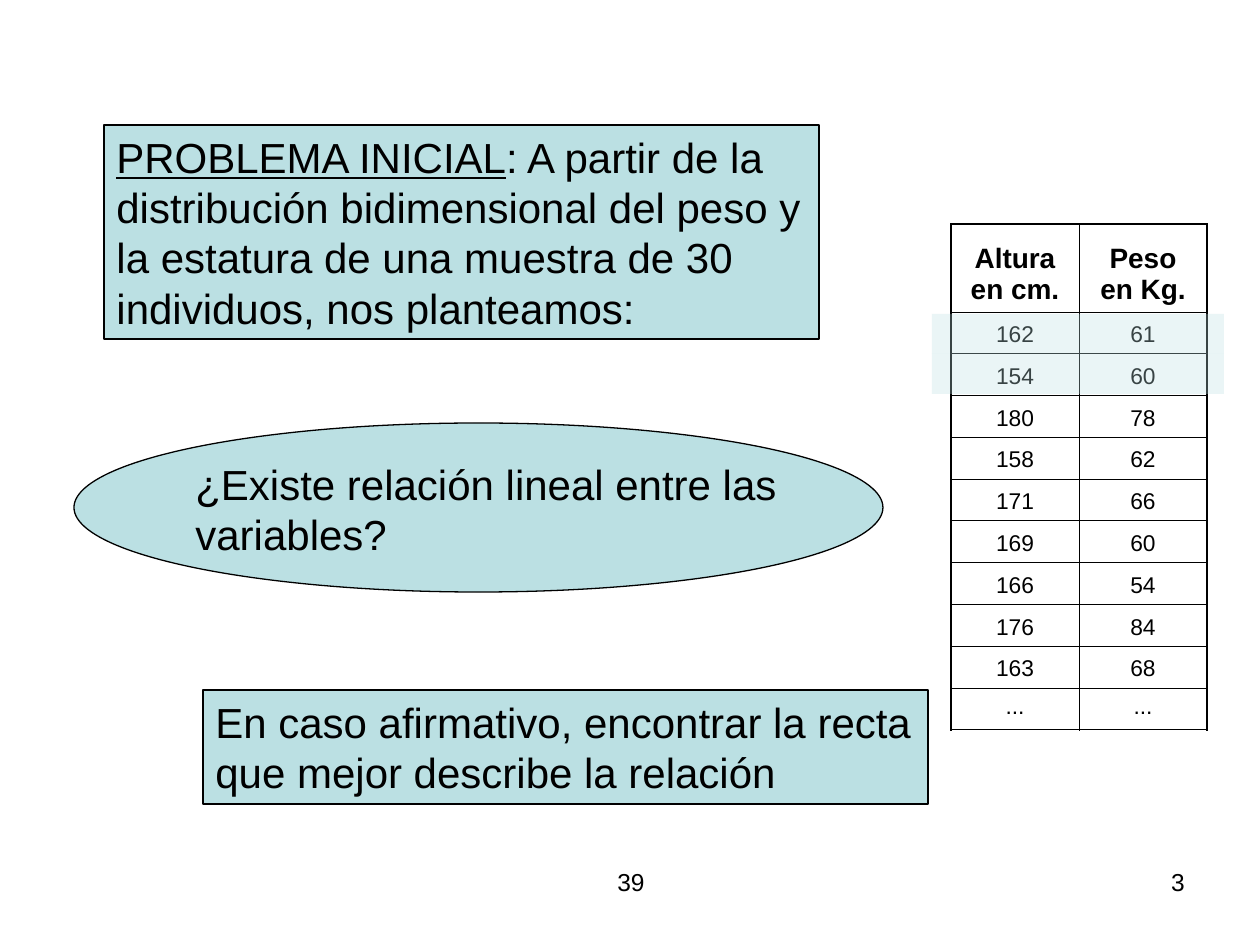
from lxml.etree import SubElement
from pptx import Presentation
from pptx.dml.color import RGBColor
from pptx.enum.shapes import MSO_SHAPE as Shape
from pptx.enum.text import MSO_ANCHOR as Anchor, PP_ALIGN as Align
from pptx.oxml.ns import qn
from pptx.util import Pt

PX = 914400 / 126
BLACK = "000000"
AQUA = "BBE0E3"
ROWS = [
    ("Altura en cm.", "Peso en Kg."),
    ("162", "61"),
    ("154", "60"),
    ("180", "78"),
    ("158", "62"),
    ("171", "66"),
    ("169", "60"),
    ("166", "54"),
    ("176", "84"),
    ("163", "68"),
    ("...", "..."),
]


def px(n):
    return round(n * PX)


def color(value):
    return RGBColor.from_string(value)


def style(p, size, align=Align.LEFT, bold=False):
    p.alignment = align
    p.font.name = "Arial"
    p.font.size = Pt(size)
    p.font.bold = bold
    p.font.color.rgb = color(BLACK)


def add_text(s, box, text, size, align=Align.LEFT):
    tf = s.shapes.add_textbox(*map(px, box)).text_frame
    tf.word_wrap = True
    p = tf.paragraphs[0]
    p.text = text
    style(p, size, align)


def add_panel(s, box, kind=Shape.RECTANGLE, line=True):
    sp = s.shapes.add_shape(kind, *map(px, box))
    sp.shadow.inherit = False
    sp.fill.solid()
    sp.fill.fore_color.rgb = color(AQUA)
    if line:
        sp.line.color.rgb = color(BLACK)
        sp.line.width = Pt(0.75)
    else:
        sp.line.fill.background()
    return sp


def add_statement(s, box, text, heading=""):
    tf = add_panel(s, box).text_frame
    tf.word_wrap = True
    tf.vertical_anchor = Anchor.TOP
    p = tf.paragraphs[0]
    if heading:
        r = p.add_run()
        r.text = heading
        r.font.underline = True
    p.add_run().text = text
    style(p, 24)


def add_question(s, box, text):
    x, y, w, h = box
    add_panel(s, box, Shape.OVAL)
    add_text(s, (x + 109, y + 29, w - 164, h - 56), text, 24)


def set_border(cell, side, width):
    ln = SubElement(cell._tc.get_or_add_tcPr(), qn(f"a:ln{side}"), w=str(Pt(width)))
    fill = SubElement(ln, qn("a:solidFill"))
    SubElement(fill, qn("a:srgbClr"), val=BLACK)


def add_data_table(s, box, header_height):
    x, y, w, h = box
    last_row, last_col = len(ROWS) - 1, len(ROWS[0]) - 1
    table = s.shapes.add_table(len(ROWS), len(ROWS[0]), *map(px, box)).table
    table.first_row = table.horz_banding = False
    for col in table.columns:
        col.width = px(w / len(ROWS[0]))
    for i, values in enumerate(ROWS):
        table.rows[i].height = px((h - header_height) / last_row if i else header_height)
        for j, value in enumerate(values):
            cell = table.cell(i, j)
            edges = {"L": j == 0, "R": j == last_col, "T": i == 0, "B": i == last_row}
            for side, outer in edges.items():
                set_border(cell, side, 1.08 if outer else 0.45)
            cell.fill.background()
            cell.vertical_anchor = Anchor.TOP if i == last_row else Anchor.BOTTOM
            p = cell.text_frame.paragraphs[0]
            p.text = value
            style(p, 13 if i else 16, Align.CENTER, bold=i == 0)


def add_highlights(s, box, count):
    x, y, w, h = box
    for i in range(count):
        sp = add_panel(s, (x, y + i * h, w, h), line=False)
        rgb = sp.fill._xPr.find(qn("a:solidFill"))[0]
        SubElement(rgb, qn("a:alpha"), val="30000")


def add_footer(s, box):
    x, y, w, h = box
    add_text(s, (x, y, 400, h), "39", 14, Align.CENTER)
    add_text(s, (x + w - 294, y, 294, h), "3", 14, Align.RIGHT)


def main():
    prs = Presentation()
    prs.slide_width, prs.slide_height = px(1260), px(945)
    s = prs.slides.add_slide(prs.slide_layouts[6])
    add_data_table(s, (951, 224, 256, 506), 88)
    add_highlights(s, (932, 314, 292, 40), 2)
    add_statement(
        s, (104, 125, 715, 214),
        ": A partir de la distribución bidimensional del peso y la estatura "
        "de una muestra de 30 individuos, nos planteamos:",
        heading="PROBLEMA INICIAL",
    )
    add_question(s, (74, 423, 809, 169), "¿Existe relación lineal entre las variables?")
    add_statement(
        s, (203, 690, 725, 114),
        "En caso afirmativo, encontrar la recta que mejor describe la relación",
    )
    add_footer(s, (431, 861, 766, 66))
    prs.save("out.pptx")


if __name__ == "__main__":
    main()
